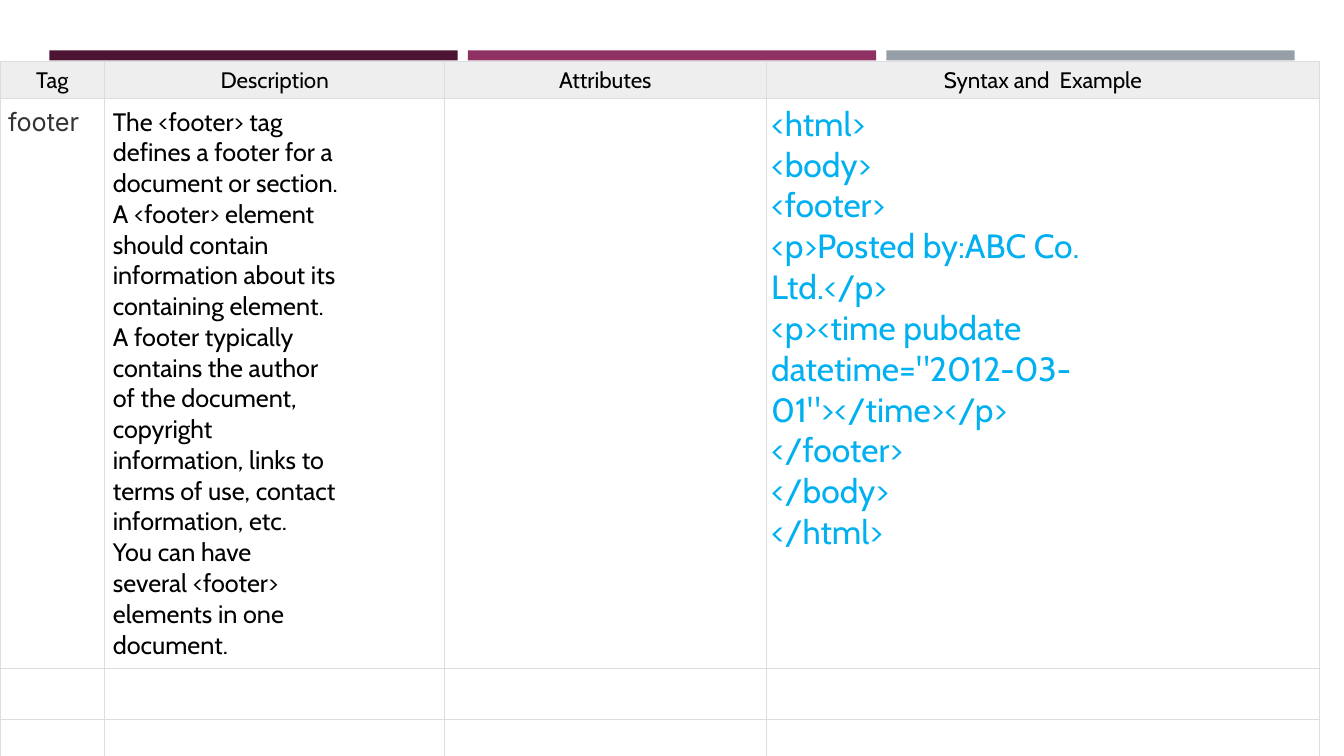
from lxml.etree import SubElement
from pptx import Presentation
from pptx.dml.color import RGBColor
from pptx.enum.shapes import MSO_SHAPE
from pptx.enum.text import PP_ALIGN
from pptx.oxml.ns import qn
from pptx.util import Inches, Pt

HEADINGS = ["Tag", "Description", "Attributes", "Syntax and  Example"]
DESCRIPTION = [
    "The <footer> tag",
    "defines a footer for a",
    "document or section.",
    "A <footer> element",
    "should contain",
    "information about its",
    "containing element.",
    "A footer typically",
    "contains the author",
    "of the document,",
    "copyright",
    "information, links to",
    "terms of use, contact",
    "information, etc.",
    "You can have",
    "several <footer>",
    "elements in one",
    "document.",
]
EXAMPLE = [
    "<html>",
    "<body>",
    "<footer>",
    "<p>Posted by:ABC Co.",
    "Ltd.</p>",
    "<p><time pubdate",
    'datetime="2012-03-',
    '01"></time></p>',
    "</footer>",
    "</body>",
    "</html>",
]
BAR_COLOURS = ["4D1434", "903163", "969FA7"]
COLUMN_WIDTHS = [1.04, 3.37, 3.19, 5.49]
ROW_HEIGHTS = [0.37, 5.65, 0.51, 0.63, 0.64, 0.63, 0.63]
BAR_LEFT, BAR_TOP, BAR_WIDTH, BAR_HEIGHT, BAR_STEP = 0.49, 0.5, 4.05, 0.1, 4.15
TABLE_TOP = 0.61
BORDER_COLOUR = "DDDDDD"


def colour(code):
    return RGBColor.from_string(code)


def write(cell, lines, size=18, font="Cabin", ink="000000",
          align=PP_ALIGN.LEFT, inset=0.05):
    cell.margin_left = cell.margin_right = Inches(inset)
    cell.margin_top = cell.margin_bottom = Inches(inset)
    frame = cell.text_frame
    for number, line in enumerate(lines):
        para = frame.add_paragraph() if number else frame.paragraphs[0]
        para.alignment = align
        span = para.add_run()
        span.text = line
        span.font.size = Pt(size)
        span.font.name = font
        span.font.color.rgb = colour(ink)


def add_borders(cell):
    properties = cell._tc.get_or_add_tcPr()
    for side in ("a:lnL", "a:lnR", "a:lnT", "a:lnB"):
        line = SubElement(properties, qn(side), w=str(Pt(0.75)))
        fill = SubElement(line, qn("a:solidFill"))
        SubElement(fill, qn("a:srgbClr"), val=BORDER_COLOUR)


def add_bars(page):
    for number, code in enumerate(BAR_COLOURS):
        bar = page.shapes.add_shape(
            MSO_SHAPE.RECTANGLE, Inches(BAR_LEFT + number * BAR_STEP),
            Inches(BAR_TOP), Inches(BAR_WIDTH), Inches(BAR_HEIGHT))
        bar.shadow.inherit = False
        bar.fill.solid()
        bar.fill.fore_color.rgb = colour(code)
        bar.line.fill.background()


def add_tag_table(page):
    table = page.shapes.add_table(
        len(ROW_HEIGHTS), len(COLUMN_WIDTHS), 0, Inches(TABLE_TOP),
        Inches(sum(COLUMN_WIDTHS)), Inches(sum(ROW_HEIGHTS))).table
    table.first_row = table.horz_banding = False
    for column, width in zip(table.columns, COLUMN_WIDTHS):
        column.width = Inches(width)
    for row, height in zip(table.rows, ROW_HEIGHTS):
        row.height = Inches(height)
    for cell in table.iter_cells():
        add_borders(cell)
        cell.fill.background()

    # Header row
    for number, heading in enumerate(HEADINGS):
        cell = table.cell(0, number)
        cell.fill.solid()
        cell.fill.fore_color.rgb = colour("EEEEEE")
        write(cell, [heading], size=16, align=PP_ALIGN.CENTER)

    # Footer tag row
    write(table.cell(1, 0), ["footer"], font="Inter", ink="333333",
          align=PP_ALIGN.JUSTIFY, inset=0.08)
    write(table.cell(1, 1), DESCRIPTION, align=PP_ALIGN.JUSTIFY, inset=0.08)
    write(table.cell(1, 3), EXAMPLE, size=24, ink="00B0F0")


def main():
    deck = Presentation()
    deck.slide_width, deck.slide_height = Inches(13.33), Inches(7.5)
    page = deck.slides.add_slide(deck.slide_layouts[6])
    add_bars(page)
    add_tag_table(page)
    deck.save("out.pptx")


if __name__ == "__main__":
    main()
